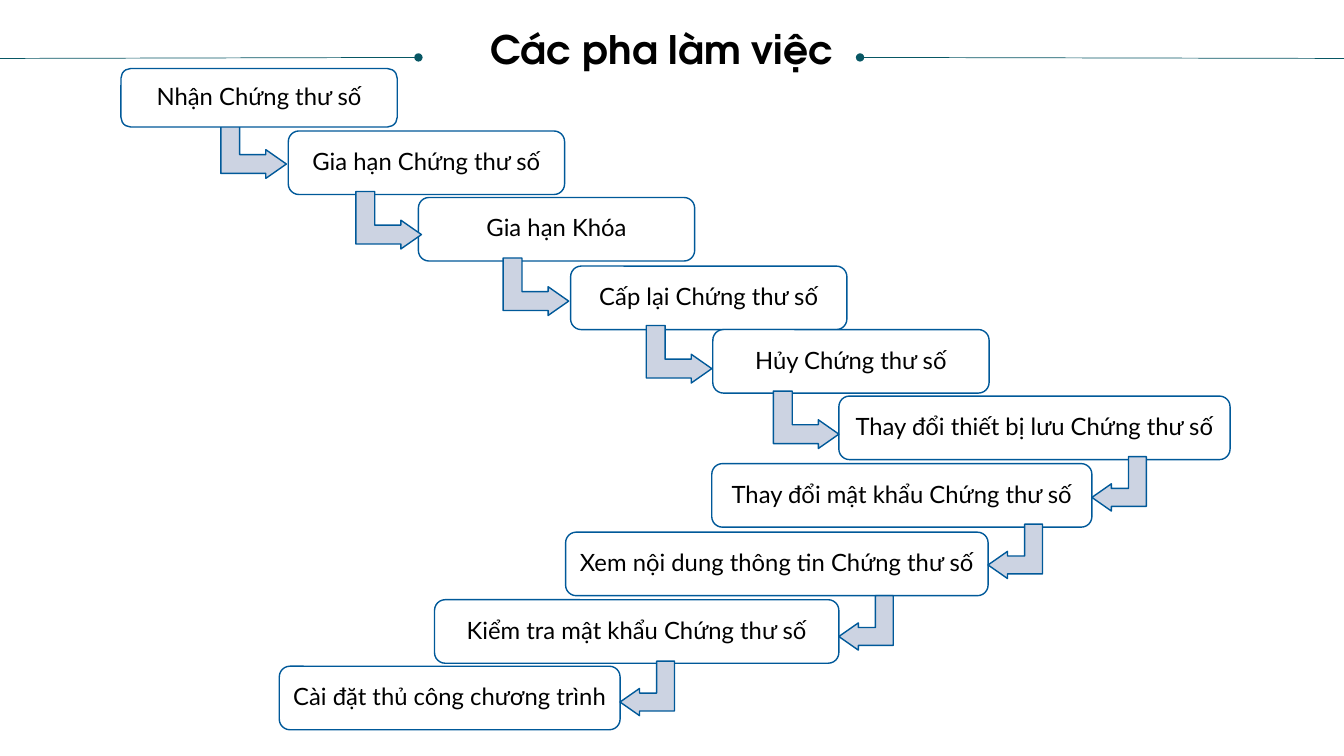
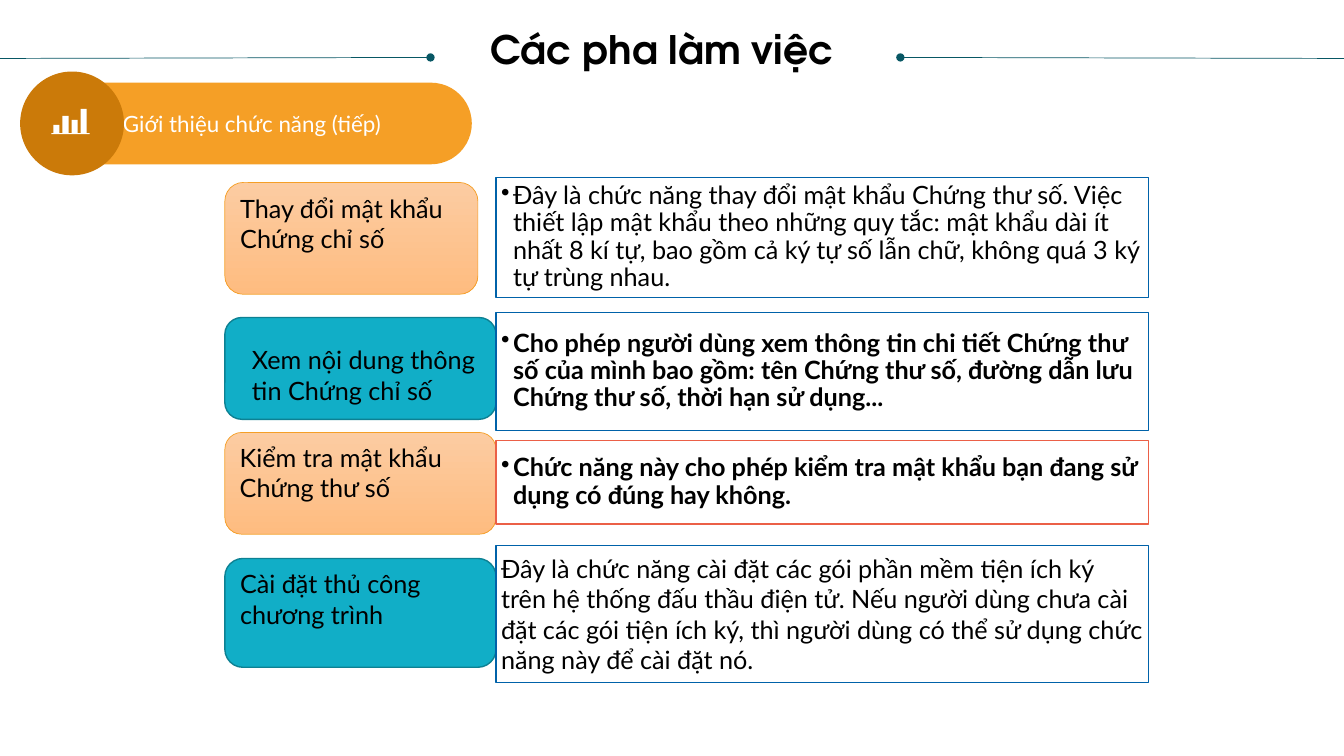
"""Builds two slides on the working phases of a digital certificate system."""
from lxml.etree import SubElement
from pptx import Presentation
from pptx.dml.color import RGBColor
from pptx.enum.shapes import MSO_CONNECTOR, MSO_SHAPE
from pptx.enum.text import MSO_ANCHOR, PP_ALIGN
from pptx.oxml.ns import qn
from pptx.util import Inches, Pt

COLORS = {name: RGBColor.from_string(value) for name, value in {
    "black": "000000", "white": "FFFFFF", "rule": "085764",
    "step": "005999", "arrow": "CCD3E2", "frame": "0062A9", "alert": "EB6047",
    "teal": "11AEC7", "teal_edge": "0D8193", "orange": "F59F26",
    "dark_orange": "CB7A09", "peach_top": "FCCCA2", "peach_bottom": "FEBC80",
}.items()}
BODY_FONT = "Lato"
TITLE_FONT = "TeX Gyre Adventor"


def draw(slide, kind, box, fill, edge=None, weight=1):
    shape = slide.shapes.add_shape(kind, *map(Inches, box))
    shape.shadow.inherit = False
    if fill == "peach":
        shape.fill.gradient()
        shape.fill.gradient_angle = 270
        for stop, name in zip(shape.fill.gradient_stops, ("peach_top", "peach_bottom")):
            stop.color.rgb = COLORS[name]
    else:
        shape.fill.solid()
        shape.fill.fore_color.rgb = COLORS[fill]
    if edge:
        shape.line.color.rgb = COLORS[edge]
        shape.line.width = Pt(weight)
    else:
        shape.line.fill.background()
    return shape


def write(shape, text, size, margins=(0.1, 0.05, 0.1, 0.05), color="black",
          align=PP_ALIGN.LEFT, anchor=MSO_ANCHOR.MIDDLE, spacing=None,
          bold=False, bullet=False, font=BODY_FONT):
    frame = shape.text_frame
    frame.word_wrap = True
    frame.vertical_anchor = anchor
    (frame.margin_left, frame.margin_top,
     frame.margin_right, frame.margin_bottom) = map(Inches, margins)
    paragraph = frame.paragraphs[0]
    paragraph.text = text
    paragraph.alignment = align
    paragraph.line_spacing = spacing
    if bullet:
        properties = paragraph._p.get_or_add_pPr()
        properties.set("marL", str(Inches(0.12)))
        properties.set("indent", str(Inches(-0.12)))
        SubElement(properties, qn("a:buChar"), char="•")
    paragraph.font.name = font
    paragraph.font.size = Pt(size)
    paragraph.font.bold = bold
    paragraph.font.color.rgb = COLORS[color]


prs = Presentation()
prs.slide_width = Inches(13.33)
prs.slide_height = Inches(7.5)

slides = []
for left_dot, right_dot in ((4.15, 8.53), (4.27, 8.93)):
    slide = prs.slides.add_slide(prs.slide_layouts[6])
    slides.append(slide)
    for dot, margin in ((left_dot, 0), (right_dot, 13.33)):
        rule = slide.shapes.add_connector(
            MSO_CONNECTOR.STRAIGHT, Inches(dot), Inches(0.57), Inches(margin), Inches(0.58))
        rule.line.color.rgb = COLORS["rule"]
        rule.line.width = Pt(0.5)
        SubElement(rule.line._get_or_add_ln(), qn("a:headEnd"), type="oval")
        SubElement(rule._element.spPr, qn("a:effectLst"))
    title = slide.shapes.add_textbox(Inches(0.15), Inches(0.3), Inches(12.83), Inches(0.85))
    write(title, "Các pha làm việc", 28, (0, 0, 0, 0), align=PP_ALIGN.CENTER,
          anchor=MSO_ANCHOR.TOP, spacing=0.9, bold=True, font=TITLE_FONT)

phases, functions = slides

steps = [
    ("Nhận Chứng thư số", 1.2, 0.68, 2.74, 0.58),
    ("Gia hạn Chứng thư số", 2.86, 1.3, 2.74, 0.63),
    ("Gia hạn Khóa", 4.15, 1.96, 2.74, 0.63),
    ("Cấp lại Chứng thư số", 5.66, 2.64, 2.74, 0.63),
    ("Hủy Chứng thư số", 7.07, 3.27, 2.74, 0.63),
    ("Thay đổi thiết bị lưu Chứng thư số", 8.32, 3.93, 3.88, 0.63),
    ("Thay đổi mật khẩu Chứng thư số", 7.06, 4.6, 3.77, 0.63),
    ("Xem nội dung thông tin Chứng thư số", 5.61, 5.28, 4.19, 0.63),
    ("Kiểm tra mật khẩu Chứng thư số", 4.31, 5.95, 4.01, 0.63),
    ("Cài đặt thủ công chương trình", 2.77, 6.61, 3.38, 0.63),
]
right_turns = [(None, left, top, 0.57, 0.65) for left, top in (
    (2.23, 1.16), (3.57, 1.86), (5.03, 2.52), (6.45, 3.19), (7.71, 3.84))]
left_turns = [(None, left + width, top, 0.54, 0.54) for (_, left, _, width, _), top
              in zip(steps[6:], (4.53, 5.2, 5.91, 6.56))]

for piece in right_turns[:1] + steps + right_turns[1:] + left_turns:
    label, *box = piece
    if label:
        step = draw(phases, MSO_SHAPE.ROUNDED_RECTANGLE, box, "white", "step")
        write(step, label, 17, (0.07, 0.07, 0.07, 0.07), align=PP_ALIGN.CENTER, spacing=0.9)
        continue
    turn = draw(phases, MSO_SHAPE.BENT_UP_ARROW, box, "arrow", "step")
    for position, value in enumerate((0.328, 0.25, 0.358)):
        turn.adjustments[position] = value
    turn.rotation = 90
    if piece in left_turns:
        turn._element.spPr.get_or_add_xfrm().set("flipV", "1")

section = draw(functions, MSO_SHAPE.ROUNDED_RECTANGLE, (0.32, 0.82, 4.36, 0.81), "orange")
section.adjustments[0] = 0.5
write(section, "Giới thiệu chức năng (tiếp)", 16, color="white", align=PP_ALIGN.CENTER)
draw(functions, MSO_SHAPE.OVAL, (0.2, 0.71, 1.03, 1.03), "dark_orange")

outline = [(0.51, 1.32)]
for bar, top in enumerate((1.24, 1.15, 1.19, 1.08)):
    left = 0.53 + 0.09 * bar
    outline += [(left, 1.32), (left, top), (left + 0.06, top), (left + 0.06, 1.32)]
outline += [(0.89, 1.32), (0.89, 1.33), (0.51, 1.33)]
points = [(Inches(x), Inches(y)) for x, y in outline]
builder = functions.shapes.build_freeform(*points[0], scale=1.0)
builder.add_line_segments(points[1:], close=True)
bars = builder.convert_to_shape()
bars.shadow.inherit = False
bars.fill.solid()
bars.fill.fore_color.rgb = COLORS["white"]
bars.line.fill.background()

peach = ("peach", "orange", 0.5)
teal = ("teal", "teal_edge", 1)
plain = (0.1, 0.05, 0.1, 0.05)
rows = [
    ("Thay đổi mật khẩu Chứng chỉ số", (1.81, 2.51, 1.11), peach, plain,
     "Đây là chức năng thay đổi mật khẩu Chứng thư số. Việc thiết lập mật khẩu theo "
     "những quy tắc: mật khẩu dài ít nhất 8 kí tự, bao gồm cả ký tự số lẫn chữ, "
     "không quá 3 ký tự trùng nhau.",
     (1.76, 1.19), "frame", {"bullet": True, "spacing": 0.9}),
    ("Xem nội dung thông tin Chứng chỉ số", (3.15, 2.69, 1.01), teal, (0.22, 0.22, 0.05, 0.05),
     "Cho phép người dùng xem thông tin chi tiết Chứng thư số của mình bao gồm: "
     "tên Chứng thư số, đường dẫn lưu Chứng thư số, thời hạn sử dụng...",
     (3.1, 1.17), "frame", {"bullet": True, "spacing": 0.9, "bold": True}),
    ("Kiểm tra mật khẩu Chứng thư số", (4.29, 2.69, 1.01), peach, plain,
     "Chức năng này cho phép kiểm tra mật khẩu bạn đang sử dụng có đúng hay không.",
     (4.37, 0.83), "alert", {"bullet": True, "spacing": 0.9, "bold": True}),
    ("Cài đặt thủ công chương trình", (5.54, 2.69, 1.08), teal, plain,
     "Đây là chức năng cài đặt các gói phần mềm tiện ích ký trên hệ thống đấu thầu "
     "điện tử. Nếu người dùng chưa cài đặt các gói tiện ích ký, thì người dùng có thể "
     "sử dụng chức năng này để cài đặt nó.",
     (5.41, 1.36), "frame", {}),
]
for name, name_box, style, margins, detail, (top, height), edge, options in rows:
    heading = draw(functions, MSO_SHAPE.ROUNDED_RECTANGLE, (2.23, *name_box), *style)
    write(heading, name, 18, margins, anchor=MSO_ANCHOR.TOP)
    description = draw(functions, MSO_SHAPE.RECTANGLE, (4.92, top, 6.47, height), "white", edge)
    write(description, detail, 18, (0.05, 0.03, 0.05, 0.03), **options)

prs.save("out.pptx")
